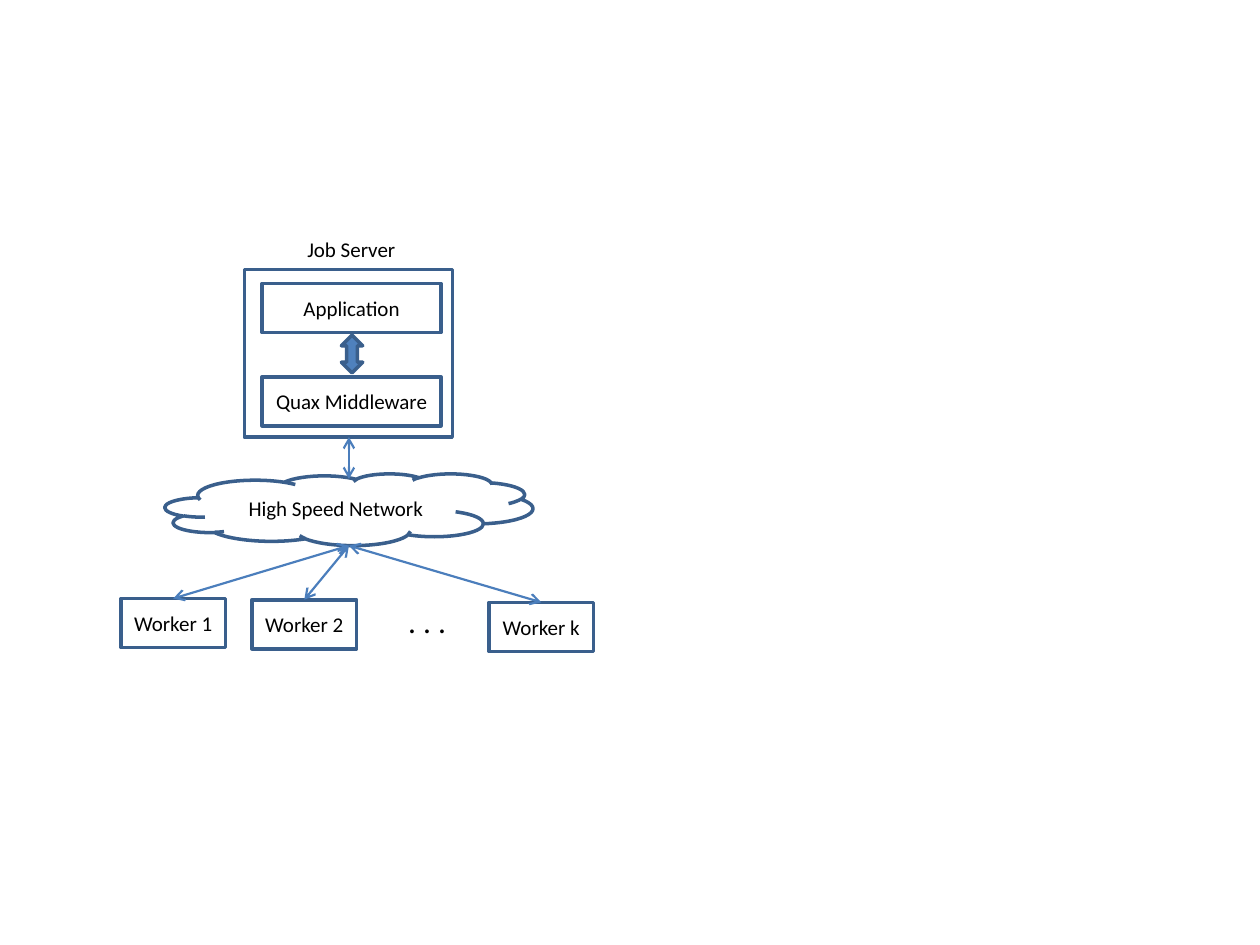
"""Build the job server and worker network diagram."""
from dataclasses import dataclass

from lxml.etree import SubElement
from pptx import Presentation
from pptx.dml.color import RGBColor
from pptx.enum.shapes import MSO_CONNECTOR as Connector, MSO_SHAPE as Preset
from pptx.enum.text import MSO_ANCHOR as Anchor, MSO_AUTO_SIZE as AutoSize, PP_ALIGN as Align
from pptx.oxml.ns import qn
from pptx.util import Pt

WHITE, BLACK = "FFFFFF", "000000"
ARROW_BLUE, OUTLINE, LINK = "4F81BD", "3A5F8C", "4B7EBC"


@dataclass
class Box:
    """A preset shape with an optional label, in points."""
    left: float
    top: float
    width: float
    height: float
    text: str = ""
    preset: Preset = Preset.RECTANGLE
    fill: str = WHITE


@dataclass
class Link:
    """A double-headed arrow between two positions, in points."""
    start: tuple[float, float]
    end: tuple[float, float]


def paint(target, color: str) -> None:
    """Give a fill a solid colour."""
    target.solid()
    target.fore_color.rgb = RGBColor.from_string(color)


def write(shape, text: str, *, size: float = 12, align: Align = Align.CENTER,
          anchor: Anchor = Anchor.MIDDLE, wrap: bool = True) -> None:
    """Write formatted text in a shape."""
    frame = shape.text_frame
    frame.word_wrap, frame.vertical_anchor = wrap, anchor
    paragraph = frame.paragraphs[0]
    paragraph.alignment = align
    run = paragraph.add_run()
    run.text = text
    run.font.name, run.font.size = "Calibri", Pt(size)
    paint(run.font.fill, BLACK)


def draw_box(slide, box: Box) -> None:
    """Draw an outlined shape and its label."""
    shape = slide.shapes.add_shape(
        box.preset, Pt(box.left), Pt(box.top), Pt(box.width), Pt(box.height))
    shape.shadow.inherit = False
    paint(shape.fill, box.fill)
    paint(shape.line.fill, OUTLINE)
    shape.line.width = Pt(2)
    if box.text:
        write(shape, box.text)


def draw_link(slide, link: Link) -> None:
    """Draw a line with an open arrowhead at each end."""
    connector = slide.shapes.add_connector(
        Connector.STRAIGHT, *(Pt(value) for value in (*link.start, *link.end)))
    paint(connector.line.fill, LINK)
    connector.line.width = Pt(1.25)
    outline = connector.line._get_or_add_ln()
    for end in ("a:headEnd", "a:tailEnd"):
        SubElement(outline, qn(end), type="arrow")
    SubElement(connector._element.spPr, qn("a:effectLst"))


def draw_caption(slide, text: str, left: float, top: float, width: float,
                 height: float, size: float) -> None:
    """Draw a free-standing caption."""
    caption = slide.shapes.add_textbox(Pt(left), Pt(top), Pt(width), Pt(height))
    write(caption, text, size=size, align=Align.LEFT, anchor=Anchor.TOP, wrap=False)
    caption.text_frame.auto_size = AutoSize.SHAPE_TO_FIT_TEXT


def main() -> None:
    """Build and save the slide."""
    presentation = Presentation()
    presentation.slide_width, presentation.slide_height = Pt(720), Pt(540)
    slide = presentation.slides.add_slide(presentation.slide_layouts[6])
    paint(slide.background.fill, WHITE)

    center = 199.4
    hub = (center, 311.8)
    workers = [Box(left, top, 59.8, 28.1, f"Worker {name}") for name, left, top in (
        ("1", 69.1, 342), ("2", 144, 342.7), ("k", 279.4, 344.2))]
    boxes = [
        Box(139.7, 154.1, 118.8, 95.8),
        Box(149.8, 215.3, 102.2, 28.1, "Quax Middleware"),
        Box(195.1, 191.5, 12.2, 21.6, preset=Preset.UP_DOWN_ARROW, fill=ARROW_BLUE),
        Box(94.3, 270.7, 210.2, 41, "High Speed Network", Preset.CLOUD),
        Box(149.8, 162, 102.2, 28.1, "Application"),
        *workers,
    ]
    links = [Link((center, 249.8), (center, 273.6))]
    links += [Link(hub, (worker.left + worker.width / 2, worker.top)) for worker in workers]

    for box in boxes:
        draw_box(slide, box)
    for link in links:
        draw_link(slide, link)
    draw_caption(slide, "Job Server", 168.5, 131.8, 65.5, 21.6, 12)
    draw_caption(slide, ". . .", 226.1, 340.6, 36.7, 28.8, 18)
    presentation.save("out.pptx")


main()
